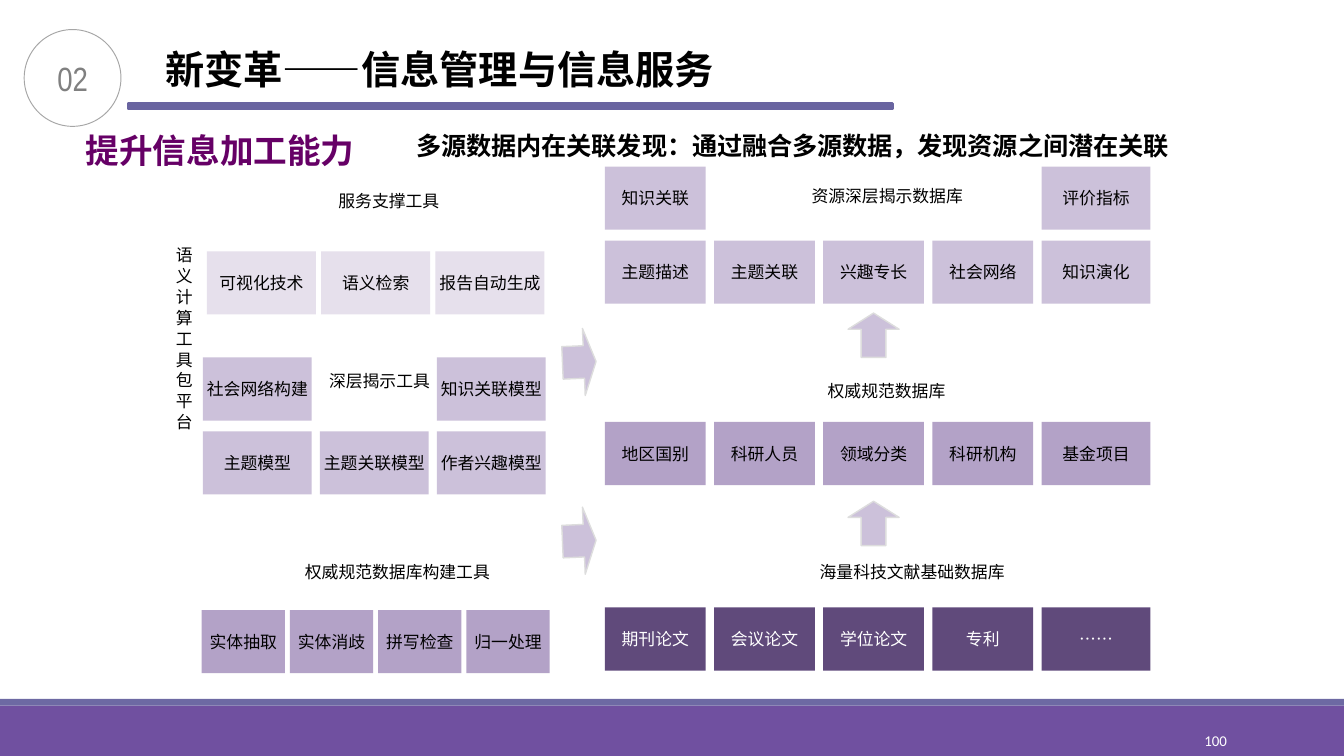
from pptx import Presentation
from pptx.dml.color import RGBColor
from pptx.enum.shapes import MSO_SHAPE
from pptx.enum.text import MSO_ANCHOR, MSO_AUTO_SIZE, PP_ALIGN
from pptx.oxml.ns import qn
from pptx.util import Inches, Pt
from lxml.etree import SubElement

CJK = "Noto Sans CJK SC"
COLORS = {
    "black": "000000", "white": "FFFFFF", "plum": "660066", "gray": "808080",
    "ring": "A6A6A6", "edge": "DDDDDD", "band": "7050A0", "strip": "6D69A3",
    "rule": "6964A0", "pale": "E6E0EC", "light": "CCC1DA", "mid": "B3A2C7",
    "dark": "604A7B",
}

TITLE = "新变革——信息管理与信息服务"

# Rows of boxes: top, first left, last left, width, last width, fill, names
ROWS = [
    (1.87, 1.54, 3.24, 0.81, 0.81, "pale", ["可视化技术", "语义检索", "报告自动生成"]),
    (2.66, 1.51, 3.25, 0.81, 0.81, "light", ["社会网络构建", None, "知识关联模型"]),
    (3.21, 1.51, 3.25, 0.81, 0.81, "light", ["主题模型", "主题关联模型", "作者兴趣模型"]),
    (4.54, 1.5, 3.47, 0.62, 0.62, "mid", ["实体抽取", "实体消歧", "拼写检查", "归一处理"]),
    (1.24, 4.5, 7.75, 0.75, 0.81, "light", ["知识关联", None, None, None, "评价指标"]),
    (1.79, 4.5, 7.75, 0.75, 0.81, "light",
     ["主题描述", "主题关联", "兴趣专长", "社会网络", "知识演化"]),
    (3.14, 4.5, 7.75, 0.75, 0.81, "mid",
     ["地区国别", "科研人员", "领域分类", "科研机构", "基金项目"]),
    (4.52, 4.5, 7.75, 0.75, 0.81, "dark",
     ["期刊论文", "会议论文", "学位论文", "专利", "……"]),
]
BOX_H = 0.47

# Group headings: left, top, width, text
HEADS = [
    (2.42, 1.37, 0.96, "服务支撑工具"),
    (2.35, 2.71, 0.96, "深层揭示工具"),
    (2.17, 4.13, 1.59, "权威规范数据库构建工具"),
    (5.94, 1.33, 1.34, "资源深层揭示数据库"),
    (6.06, 2.78, 1.09, "权威规范数据库"),
    (6, 4.13, 1.59, "海量科技文献基础数据库"),
]

# Arrows: left, top, width, height, rotation
ARROWS = [
    (6.31, 3.73, 0.38, 0.33, 0), (6.31, 2.33, 0.38, 0.33, 0),
    (4.06, 3.9, 0.5, 0.25, 87.6), (4.06, 2.57, 0.5, 0.25, 87.6),
]


def color(name):
    return RGBColor.from_string(COLORS[name])


def write(shape, text, size=9, font="Arial", ink="black", bold=False,
          align=PP_ALIGN.LEFT, anchor=MSO_ANCHOR.TOP, wrap=False, inset=(0.1, 0.05)):
    frame = shape.text_frame
    frame.auto_size = MSO_AUTO_SIZE.NONE
    frame.word_wrap = wrap
    frame.vertical_anchor = anchor
    frame.margin_left = frame.margin_right = Inches(inset[0])
    frame.margin_top = frame.margin_bottom = Inches(inset[1])
    para = frame.paragraphs[0]
    para.alignment = align
    run = para.add_run()
    run.text = text
    run.font.size = Pt(size)
    run.font.bold = bold
    run.font.name = font
    run.font.color.rgb = color(ink)
    SubElement(run._r.get_or_add_rPr(), qn("a:ea")).set("typeface", CJK)


def draw(kind, at, fill=None, line=None, weight=0.75):
    shape = slide.shapes.add_shape(kind, *map(Inches, at))
    shape.shadow.inherit = False
    if fill:
        shape.fill.solid()
        shape.fill.fore_color.rgb = color(fill)
    else:
        shape.fill.background()
    if line:
        shape.line.color.rgb = color(line)
        shape.line.width = Pt(weight)
    else:
        shape.line.fill.background()
    return shape


def label(at, text, **style):
    box = slide.shapes.add_textbox(*map(Inches, at))
    write(box, text, **style)
    return box


# Widescreen page, 16 to 9
deck = Presentation()
deck.slide_width = Inches(10)
deck.slide_height = deck.slide_width * 9 // 16
slide = deck.slides.add_slide(deck.slide_layouts[5])

# Footer band and page number
draw(MSO_SHAPE.RECTANGLE, (0, 5.25, 10, 0.38), "band")
draw(MSO_SHAPE.RECTANGLE, (0, 5.2, 10, 0.05), "strip")
label((8.12, 5.36, 1.08, 0.3), "100", size=8, font="Calibri", ink="white",
      align=PP_ALIGN.RIGHT, anchor=MSO_ANCHOR.MIDDLE, inset=(0.07, 0.04), wrap=True)

# Header: rule, section number, title, subtitles
draw(MSO_SHAPE.RECTANGLE, (0.95, 0.77, 5.69, 0.04), "rule", "rule", 1.25)
ring = draw(MSO_SHAPE.OVAL, (0.18, 0.22, 0.72, 0.72), line="ring", weight=0.5)
write(ring, "02", size=18, font="Arial Narrow", ink="gray", align=PP_ALIGN.CENTER,
      anchor=MSO_ANCHOR.MIDDLE, inset=(0.07, 0.04), wrap=True)
title = slide.shapes.title
title.left, title.top, title.width, title.height = map(Inches, (1.16, 0.3, 4.3, 0.43))
write(title, TITLE, size=21, font=CJK, bold=True, inset=(0.07, 0.04))
label((0.54, 0.92, 5, 0.4), "提升信息加工能力", size=18, font=CJK, ink="plum",
      bold=True, wrap=True)
label((3, 0.92, 6.32, 0.33), "多源数据内在关联发现：通过融合多源数据，发现资源之间潜在关联",
      size=13.5, bold=True, wrap=True)

# Box rows, evenly spread from first to last
for top, first, last, width, end, fill, names in ROWS:
    step = (last - first) / (len(names) - 1)
    for i, name in enumerate(names):
        if name:
            wide = end if i == len(names) - 1 else width
            box = draw(MSO_SHAPE.RECTANGLE, (first + i * step, top, wide, BOX_H), fill)
            write(box, name, ink="white" if fill == "dark" else "black",
                  font=CJK if name == "……" else "Arial",
                  align=PP_ALIGN.CENTER, anchor=MSO_ANCHOR.MIDDLE)

# Group headings and vertical label
for left, top, width, text in HEADS:
    label((left, top, width, 0.25), text)
side = label((1.14, 1.74, 0.35, 1.74), "语 义 计 算 工 具 包 平 台", font=CJK)
side.text_frame._txBody.bodyPr.set("vert", "eaVert")

# Arrows between groups
for *at, turn in ARROWS:
    arrow = draw(MSO_SHAPE.UP_ARROW, at, "light", "edge")
    arrow.adjustments[0], arrow.adjustments[1] = 0.485, 0.365
    arrow.rotation = turn

deck.save("out.pptx")
